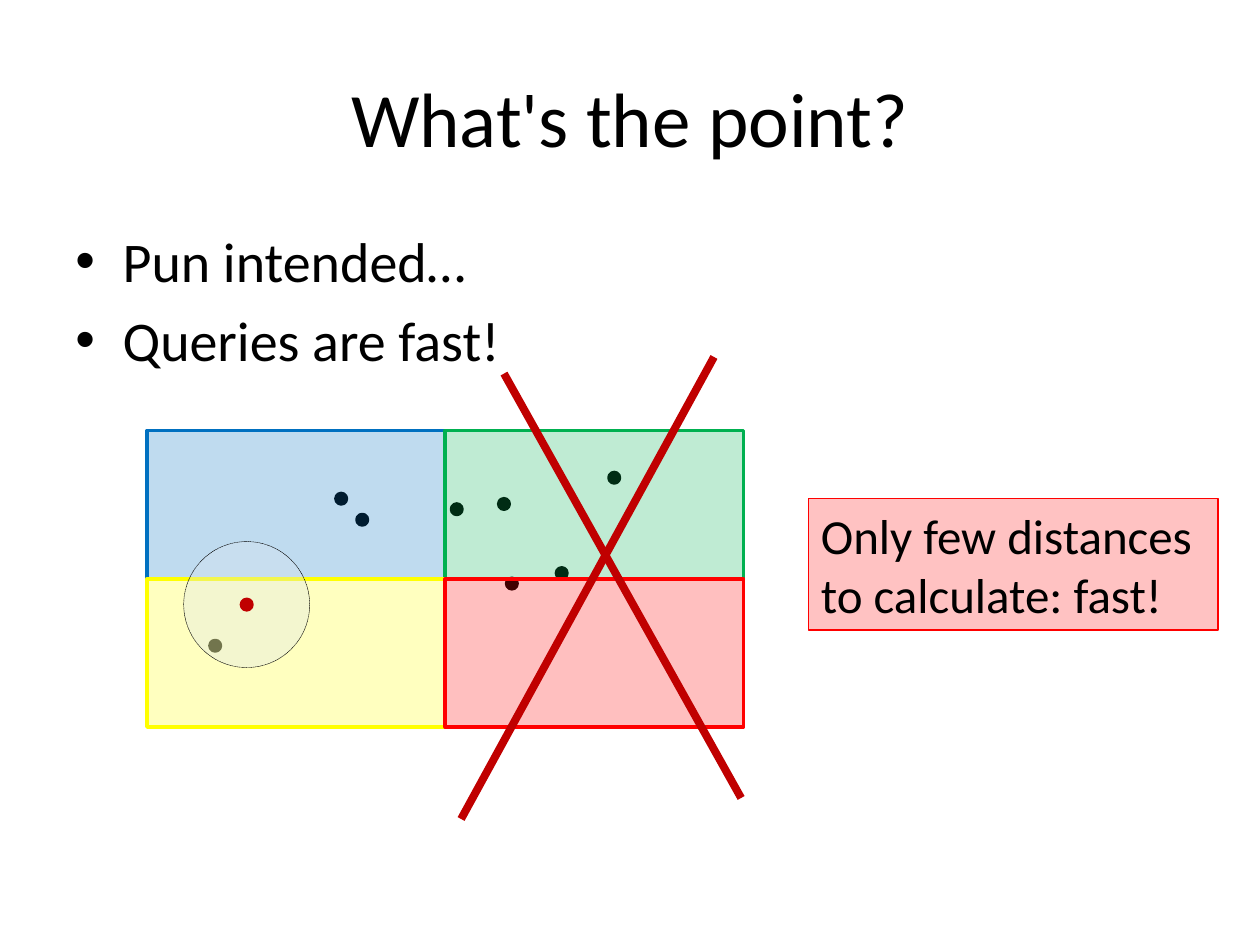
from lxml import etree
from pptx import Presentation
from pptx.dml.color import RGBColor
from pptx.enum.dml import MSO_LINE
from pptx.enum.shapes import MSO_CONNECTOR, MSO_SHAPE
from pptx.enum.text import MSO_ANCHOR, MSO_AUTO_SIZE, PP_ALIGN
from pptx.oxml.ns import qn
from pptx.util import Pt

OVAL, RECTANGLE = MSO_SHAPE.OVAL, MSO_SHAPE.RECTANGLE
STRAIGHT = MSO_CONNECTOR.STRAIGHT
DASH = MSO_LINE.SQUARE_DOT
MIDDLE = MSO_ANCHOR.MIDDLE
GROW = MSO_AUTO_SIZE.SHAPE_TO_FIT_TEXT
LEFT, CENTER = PP_ALIGN.LEFT, PP_ALIGN.CENTER

BLACK = RGBColor(0x00, 0x00, 0x00)
BLUE = RGBColor(0x00, 0x70, 0xC0)
GREEN = RGBColor(0x00, 0xB0, 0x50)
YELLOW = RGBColor(0xFF, 0xFF, 0x00)
RED = RGBColor(0xFF, 0x00, 0x00)
DARK_RED = RGBColor(0xC0, 0x00, 0x00)
PALE_BLUE = RGBColor(0xDC, 0xE6, 0xF2)

DOT_SIZE = 6
DATA_POINTS = [(192, 282), (120, 366), (204, 294), (258, 288), (285, 285),
               (289.5, 330.5), (318, 324.5), (348, 270)]
GRID_LEFT, GRID_TOP, CELL_WIDTH, CELL_HEIGHT = 84, 246, 170.4, 84.75
CELL_COLORS = [[BLUE, GREEN], [YELLOW, RED]]
QUERY_X, QUERY_Y, QUERY_RADIUS = 141, 345.5, 36
CROSS = [(263.5, 468, 408, 204), (288, 213.5, 423.5, 456)]
BULLETS = ["Pun intended…", "Queries are fast!"]


def format_text(paragraph, size, alignment=LEFT):
    """Apply the slide's font to a paragraph."""
    paragraph.alignment = alignment
    values = {"name": "Calibri", "size": Pt(size), "bold": False}
    for name, value in values.items():
        setattr(paragraph.font, name, value)
    paragraph.font.color.rgb = BLACK


def add_title(slide, text):
    """Place and fill the title placeholder."""
    title = slide.shapes.title
    box = {"left": 36, "top": 21.6, "width": 648, "height": 90}
    for name, value in box.items():
        setattr(title, name, Pt(value))
    title.text_frame.text = text
    title.text_frame.vertical_anchor = MIDDLE
    format_text(title.text_frame.paragraphs[0], 44, CENTER)


def add_bullets(slide, texts):
    """Add the bulleted body text."""
    box = slide.shapes.add_textbox(Pt(36), Pt(126), Pt(648), Pt(356.4))
    frame = box.text_frame
    frame.word_wrap = True
    for index, text in enumerate(texts):
        paragraph = frame.add_paragraph() if index else frame.paragraphs[0]
        paragraph.text = text
        properties = paragraph._p.get_or_add_pPr()
        properties.set("marL", str(Pt(27)))
        properties.set("indent", str(Pt(-27)))
        etree.SubElement(properties, qn("a:buFont"), typeface="Arial")
        etree.SubElement(properties, qn("a:buChar"), char="•")
        paragraph.space_before = Pt(6.4 if index else 0)
        format_text(paragraph, 32)


def add_figure(slide, kind, box, fill, line, line_width=2, opacity=100):
    """Add a filled and outlined preset shape."""
    shape = slide.shapes.add_shape(kind, *map(Pt, box))
    shape.shadow.inherit = False
    shape.fill.solid()
    shape.fill.fore_color.rgb = fill
    if opacity < 100:
        color = shape.fill._xPr.find(f".//{qn('a:srgbClr')}")
        etree.SubElement(color, qn("a:alpha"), val=str(opacity * 1000))
    shape.line.color.rgb = line
    shape.line.width = Pt(line_width)
    return shape


def add_dot(slide, left, top, color):
    """Add one data point."""
    add_figure(slide, OVAL, (left, top, DOT_SIZE, DOT_SIZE), color, color)


def add_grid(slide):
    """Add the four translucent cells."""
    for row, colors in enumerate(CELL_COLORS):
        for column, color in enumerate(colors):
            box = (GRID_LEFT + column * CELL_WIDTH, GRID_TOP + row * CELL_HEIGHT,
                   CELL_WIDTH, CELL_HEIGHT)
            add_figure(slide, RECTANGLE, box, color, color, opacity=25)


def add_query(slide):
    """Add the query point inside its search circle."""
    box = (QUERY_X - QUERY_RADIUS, QUERY_Y - QUERY_RADIUS,
           2 * QUERY_RADIUS, 2 * QUERY_RADIUS)
    circle = add_figure(slide, OVAL, box, PALE_BLUE, BLACK, 0.25, 32)
    circle.line.dash_style = DASH
    add_dot(slide, QUERY_X - DOT_SIZE / 2, QUERY_Y - DOT_SIZE / 2, DARK_RED)


def add_stroke(slide, ends):
    """Add one stroke of the cross."""
    stroke = slide.shapes.add_connector(STRAIGHT, *map(Pt, ends))
    stroke.line.color.rgb = DARK_RED
    stroke.line.width = Pt(4.5)
    etree.SubElement(stroke._element.spPr, qn("a:effectLst"))


def add_callout(slide, text):
    """Add the conclusion box."""
    box = (462, 285, 234, 75)
    callout = add_figure(slide, RECTANGLE, box, RED, RED, 0.75, 24)
    frame = callout.text_frame
    frame.text = text
    frame.word_wrap = True
    frame.auto_size = GROW
    format_text(frame.paragraphs[0], 28)


def main():
    """Build and save the slide."""
    presentation = Presentation()
    presentation.slide_width, presentation.slide_height = Pt(720), Pt(540)
    slide = presentation.slides.add_slide(presentation.slide_layouts[5])
    add_title(slide, "What's the point?")
    add_bullets(slide, BULLETS)
    for left, top in DATA_POINTS:
        add_dot(slide, left, top, BLACK)
    add_grid(slide)
    add_query(slide)
    for ends in CROSS:
        add_stroke(slide, ends)
    add_callout(slide, "Only few distances to calculate: fast!")
    presentation.save("out.pptx")


if __name__ == "__main__":
    main()
